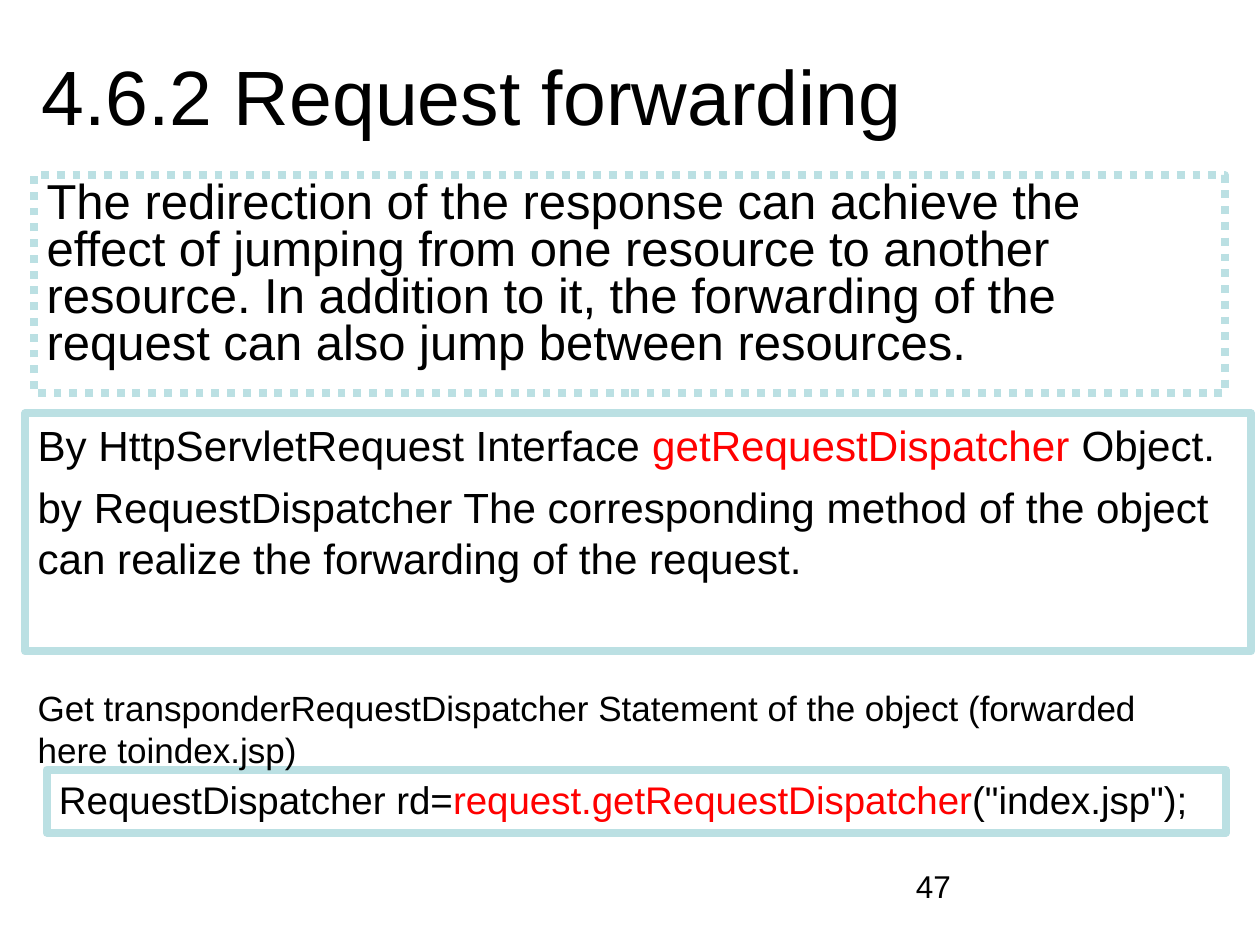
import dataclasses

import pptx
import pptx.dml.color
import pptx.enum.dml
import pptx.enum.shapes
import pptx.enum.text
import pptx.util
from pptx.util import Inches


@dataclasses.dataclass(frozen=True)
class Theme:
    font: str = "Arial"
    text: str = "000000"
    highlight: str = "FF0000"
    border: str = "BBE0E3"
    border_width: float = 4.5
    title: float = 44
    body: float = 28
    steps: float = 24.1
    code: float = 22
    caption: float = 20
    number: float = 18


THEME = Theme()


def color(value):
    return pptx.dml.color.RGBColor.from_string(value)


def place(shape, left, top, width, height):
    shape.left, shape.top = Inches(left), Inches(top)
    shape.width, shape.height = Inches(width), Inches(height)


def write(shape, paragraphs, size, anchor=pptx.enum.text.MSO_ANCHOR.TOP, space_before=0):
    """Fill a shape; each paragraph is a list of (text, highlighted) pieces."""
    frame = shape.text_frame
    frame.word_wrap = True
    frame.auto_size = pptx.enum.text.MSO_AUTO_SIZE.NONE
    frame.vertical_anchor = anchor
    for index, pieces in enumerate(paragraphs):
        paragraph = frame.paragraphs[0] if index == 0 else frame.add_paragraph()
        paragraph.alignment = pptx.enum.text.PP_ALIGN.LEFT
        paragraph.space_before = pptx.util.Pt(space_before if index else 0)
        paragraph.font.name = THEME.font
        paragraph.font.size = pptx.util.Pt(size)
        paragraph.font.color.rgb = color(THEME.text)
        for text, highlighted in pieces:
            run = paragraph.add_run()
            run.text = text
            run.font.name = THEME.font
            run.font.size = pptx.util.Pt(size)
            run.font.color.rgb = color(THEME.highlight if highlighted else THEME.text)


def outline(shape, dash=None):
    shape.fill.background()
    shape.line.color.rgb = color(THEME.border)
    shape.line.width = pptx.util.Pt(THEME.border_width)
    if dash is not None:
        shape.line.dash_style = dash


def remove_bullet(paragraph):
    properties = paragraph._p.get_or_add_pPr()
    properties.set("marL", "0")
    properties.set("indent", "0")
    properties.append(pptx.oxml.parse_xml(
        '<a:buNone xmlns:a="http://schemas.openxmlformats.org/drawingml/2006/main"/>'))


def add_title(slide, text):
    title = slide.shapes.title
    place(title, 0.23, 0.13, 9, 1.25)
    write(title, [[(text, False)]], THEME.title, pptx.enum.text.MSO_ANCHOR.MIDDLE)


def add_introduction(slide, text):
    body = slide.placeholders[1]
    place(body, 0.27, 1.39, 9.45, 1.73)
    outline(body, pptx.enum.dml.MSO_LINE.ROUND_DOT)
    paragraph = body.text_frame.paragraphs[0]
    remove_bullet(paragraph)
    write(body, [[(text, False)]], THEME.body)
    paragraph.line_spacing = 0.8


def add_framed_text(slide, box, paragraphs, size, space_before=0):
    frame = slide.shapes.add_shape(
        pptx.enum.shapes.MSO_SHAPE.RECTANGLE, *map(Inches, box))
    frame.shadow.inherit = False
    outline(frame)
    write(frame, paragraphs, size, space_before=space_before)


def add_label(slide, box, text, size):
    label = slide.shapes.add_textbox(*map(Inches, box))
    write(label, [[(text, False)]], size)


def main():
    presentation = pptx.Presentation()
    presentation.slide_width, presentation.slide_height = Inches(10), Inches(7.5)
    slide = presentation.slides.add_slide(presentation.slide_layouts[1])

    add_label(slide, (7.17, 6.83, 2.33, 0.52), "47", THEME.number)
    add_title(slide, "4.6.2 Request forwarding")
    add_introduction(
        slide,
        "The redirection of the response can achieve the effect of jumping from one "
        "resource to another resource. In addition to it, the forwarding of the "
        "request can also jump between resources.")
    add_framed_text(slide, (0.2, 3.28, 9.73, 1.89), [
        [("By HttpServletRequest Interface ", False),
         ("getRequestDispatcher ", True),
         ("Object.", False)],
        [("by RequestDispatcher The corresponding method of the object can realize "
          "the forwarding of the request.", False)],
    ], THEME.steps, space_before=6.5)
    add_framed_text(slide, (0.37, 6.11, 9.36, 0.5), [
        [("RequestDispatcher rd=", False),
         ("request.getRequestDispatcher", True),
         ('("index.jsp");', False)],
    ], THEME.code)
    add_label(
        slide, (0.2, 5.4, 9.45, 0.77),
        "Get transponderRequestDispatcher Statement of the object "
        "(forwarded here toindex.jsp)", THEME.caption)

    presentation.save("out.pptx")


if __name__ == "__main__":
    main()
